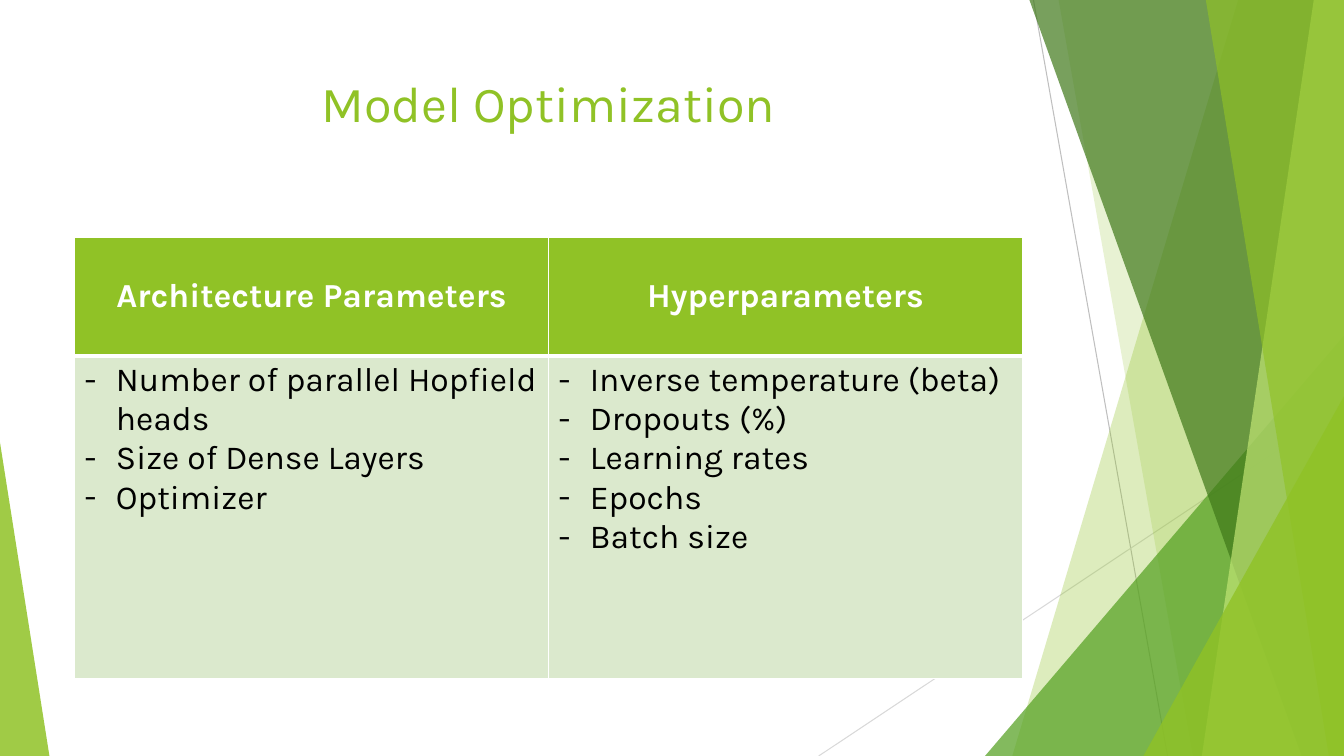
"""Builds the Model Optimization slide with its table and faceted green edges."""
from dataclasses import dataclass
from typing import Optional

from lxml import etree
from pptx import Presentation
from pptx.dml.color import RGBColor
from pptx.enum.shapes import MSO_CONNECTOR, MSO_SHAPE
from pptx.enum.text import MSO_ANCHOR, PP_ALIGN
from pptx.oxml.ns import qn
from pptx.util import Inches, Pt

LINE = MSO_CONNECTOR.STRAIGHT
WEDGE = MSO_SHAPE.RIGHT_TRIANGLE
PEAK = MSO_SHAPE.ISOSCELES_TRIANGLE
MID, TOP = MSO_ANCHOR.MIDDLE, MSO_ANCHOR.TOP
CENTER, LEFT = PP_ALIGN.CENTER, PP_ALIGN.LEFT

WIDE, HIGH = 13.33, 7.5
FONT = "Karla"
COLORS = {
    "lime": "90C226", "leaf": "54A021", "pine": "3F7819", "pale": "C0E474",
    "mint": "DBE9CD", "gray": "BFBFBF", "mist": "D9D9D9",
    "white": "FFFFFF", "black": "000000",
}


@dataclass
class Ray:
    """A thin straight line."""
    start: tuple[float, float]
    end: tuple[float, float]
    color: str


@dataclass
class Band:
    """A full-height facet that ends at the right edge."""
    top: float
    base: float
    color: str
    alpha: int


@dataclass
class Spike:
    """A triangle standing on the bottom edge."""
    left: float
    top: float
    width: float
    apex: float
    color: str
    alpha: int


@dataclass
class Column:
    """A table column with its heading and bullet items."""
    head: str
    items: list[str]


RAYS = [
    Ray((10.25, 0), (11.58, HIGH), "gray"),
    Ray((WIDE, 4.03), (8.12, HIGH), "mist"),
]
FACETS = [
    Band(12.28, 10.04, "lime", 30),
    Band(10.5, 11.83, "lime", 20),
    Spike(9.77, 3.33, 3.56, 1, "leaf", 72),
    Band(10.21, 12.91, "pine", 70),
    Band(13.03, 11.92, "pale", 70),
    Band(11.96, 13.18, "lime", 65),
    Spike(11.34, 3.93, 1.99, 1, "lime", 80),
    Spike(0, 4.39, 0.49, 0, "lime", 85),
]
COLUMNS = [
    Column("Architecture Parameters", [
        "Number of parallel Hopfield heads", "Size of Dense Layers", "Optimizer"]),
    Column("Hyperparameters", [
        "Inverse temperature (beta)", "Dropouts (%)", "Learning rates", "Epochs",
        "Batch size"]),
]


def rgb(name: str) -> RGBColor:
    """Return a named colour."""
    return RGBColor.from_string(COLORS[name])


def write(frame, *texts: str, size: float = 24, color: str = "black",
          bold: bool = False, align=LEFT, bullet: Optional[str] = None) -> None:
    """Fill a text frame with one paragraph per text."""
    for index, text in enumerate(texts):
        para = frame.add_paragraph() if index else frame.paragraphs[0]
        para.alignment = align
        if bullet:
            props = para._p.get_or_add_pPr()
            props.set("marL", str(Inches(0.31)))
            props.set("indent", str(-Inches(0.31)))
            etree.SubElement(props, qn("a:buFont"), typeface=FONT)
            etree.SubElement(props, qn("a:buChar"), char=bullet)
        run = para.add_run()
        run.text = text
        run.font.name, run.font.size, run.font.bold = FONT, Pt(size), bold
        run.font.color.rgb = rgb(color)


def tint(shape, color: str, alpha: int) -> None:
    """Give a shape a see-through fill and no outline."""
    shape.shadow.inherit = False
    shape.line.fill.background()
    shape.fill.solid()
    shape.fill.fore_color.rgb = rgb(color)
    tone = shape._element.spPr.find(qn("a:solidFill"))[0]
    etree.SubElement(tone, qn("a:alpha"), val=str(alpha * 1000))


def draw_ray(slide, ray: Ray) -> None:
    """Draw a thin line."""
    ends = [Inches(n) for n in (*ray.start, *ray.end)]
    line = slide.shapes.add_connector(LINE, *ends)
    line.line.color.rgb = rgb(ray.color)
    line.line.width = Pt(0.75)
    etree.SubElement(line._element.spPr, qn("a:effectLst"))


def draw_band(slide, band: Band) -> None:
    """Draw a full-height facet."""
    points = [(Inches(x), Inches(y)) for x, y in
              ((band.top, 0), (WIDE, 0), (WIDE, HIGH), (band.base, HIGH))]
    path = slide.shapes.build_freeform(*points[0])
    path.add_line_segments(points[1:], close=True)
    tint(path.convert_to_shape(), band.color, band.alpha)


def draw_spike(slide, spike: Spike) -> None:
    """Draw a triangle down to the bottom edge."""
    shape = slide.shapes.add_shape(
        PEAK, Inches(spike.left), Inches(spike.top),
        Inches(spike.width), Inches(HIGH - spike.top))
    shape.adjustments[0] = spike.apex
    tint(shape, spike.color, spike.alpha)


def edge(cell, **widths: float) -> None:
    """Set white cell borders, one width in points per side."""
    props = cell._tc.get_or_add_tcPr()
    for index, side in enumerate("LRTB"):
        line = etree.Element(qn(f"a:ln{side}"), w=str(Pt(widths.get(side, 1))))
        fill = etree.SubElement(line, qn("a:solidFill"))
        etree.SubElement(fill, qn("a:srgbClr"), val=COLORS["white"])
        props.insert(index, line)


def draw_table(slide) -> None:
    """Draw the table of parameters."""
    table = slide.shapes.add_table(
        2, len(COLUMNS), Inches(0.74), Inches(2.36), Inches(9.4), Inches(4.37)).table
    table.rows[0].height, table.rows[1].height = Inches(1.17), Inches(3.2)
    for index, column in enumerate(COLUMNS):
        head, body = table.cell(0, index), table.cell(1, index)
        for cell, color, anchor in ((head, "lime", MID), (body, "mint", TOP)):
            cell.fill.solid()
            cell.fill.fore_color.rgb = rgb(color)
            cell.vertical_anchor = anchor
        edge(head, B=3)
        edge(body, T=3)
        write(head.text_frame, column.head, color="white", bold=True, align=CENTER)
        write(body.text_frame, *column.items, bullet="-")


def main() -> None:
    """Build and save the slide."""
    deck = Presentation()
    deck.slide_width, deck.slide_height = Inches(WIDE), Inches(HIGH)
    slide = deck.slides.add_slide(deck.slide_layouts[6])
    for ray in RAYS:
        draw_ray(slide, ray)
    for facet in FACETS:
        if isinstance(facet, Band):
            draw_band(slide, facet)
        else:
            draw_spike(slide, facet)
    title = slide.shapes.add_textbox(
        Inches(0.74), Inches(0.67), Inches(9.4), Inches(1.44)).text_frame
    title.word_wrap = True
    write(title, "Model Optimization", size=36, color="lime", align=CENTER)
    draw_table(slide)
    deck.save("out.pptx")


if __name__ == "__main__":
    main()
